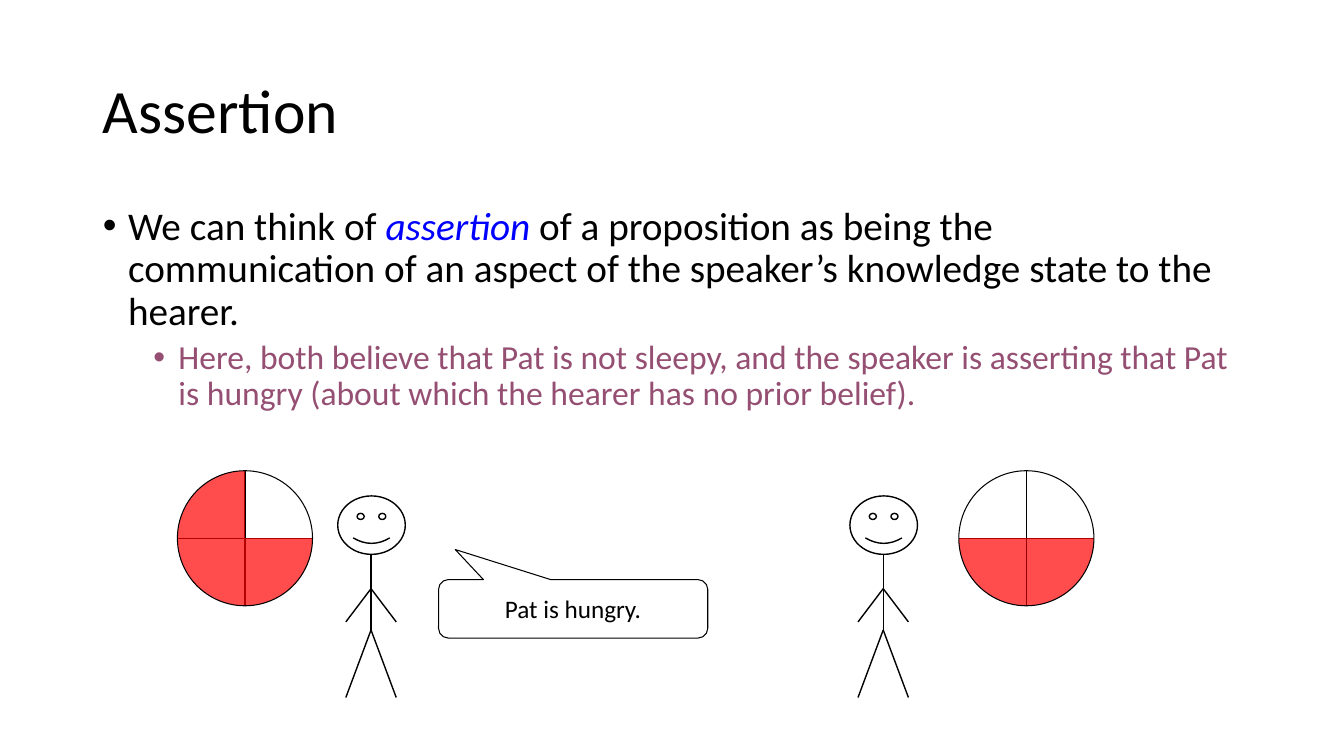
import lxml.etree
import pptx
import pptx.dml.color
import pptx.enum.shapes
import pptx.enum.text
import pptx.oxml.ns
import pptx.util
from pptx.util import Inches

COLOURS = {"ink": "000000", "term": "0000FF", "example": "954F72", "ruled_out": "FF0000"}
FONT = "Calibri"
SHAPE = pptx.enum.shapes.MSO_SHAPE
ANCHOR = pptx.enum.text.MSO_ANCHOR
ALIGN = pptx.enum.text.PP_ALIGN
QUARTER_TURNS = {"upper left": 0, "upper right": 90, "lower right": 180, "lower left": 270}


def colour(name):
    return pptx.dml.color.RGBColor.from_string(COLOURS[name])


def add_xml(parent, tag, **attributes):
    return lxml.etree.SubElement(parent, pptx.oxml.ns.qn(tag), **attributes)


def format_span(span, size, ink="ink", italic=False):
    span.font.name = FONT
    span.font.size = pptx.util.Pt(size)
    span.font.color.rgb = colour(ink)
    span.font.italic = italic


def place(shape, left, top, width, height):
    shape.left, shape.top = Inches(left), Inches(top)
    shape.width, shape.height = Inches(width), Inches(height)


def add_outline(shapes, kind, left, top, width, height, weight):
    """Add an unfilled preset shape with a black line."""
    shape = shapes.add_shape(kind, Inches(left), Inches(top), Inches(width), Inches(height))
    shape.shadow.inherit = False
    shape.fill.background()
    shape.line.color.rgb = colour("ink")
    shape.line.width = pptx.util.Pt(weight)
    return shape


def add_line(shapes, x1, y1, x2, y2, weight):
    line = shapes.add_connector(pptx.enum.shapes.MSO_CONNECTOR.STRAIGHT,
                                Inches(x1), Inches(y1), Inches(x2), Inches(y2))
    line.line.color.rgb = colour("ink")
    line.line.width = pptx.util.Pt(weight)
    add_xml(line._element.spPr, "a:effectLst")


def set_title(page, text):
    title = page.shapes.title
    place(title, 0.92, 0.4, 11.5, 1.45)
    frame = title.text_frame
    frame.text = text
    frame.vertical_anchor = ANCHOR.MIDDLE
    frame.auto_size = pptx.enum.text.MSO_AUTO_SIZE.NONE
    para = frame.paragraphs[0]
    para.alignment = ALIGN.LEFT
    para.line_spacing = 0.9
    format_span(para.runs[0], 44)


def format_bullet(para, level, space_before):
    para.level = level
    para.line_spacing = 0.9
    para.space_before = pptx.util.Pt(space_before)
    properties = para._p.get_or_add_pPr()
    properties.set("marL", str(Inches(0.25 + 0.5 * level)))
    properties.set("indent", str(Inches(-0.25)))
    add_xml(properties, "a:buFont", typeface="Arial")
    add_xml(properties, "a:buChar", char="•")


def set_body(page):
    body = page.placeholders[1]
    place(body, 0.92, 2, 11.5, 2.29)
    frame = body.text_frame
    frame.auto_size = pptx.enum.text.MSO_AUTO_SIZE.NONE
    claim = frame.paragraphs[0]
    format_bullet(claim, 0, 0)
    for text, ink in [
        ("We can think of ", "ink"),
        ("assertion", "term"),
        (" of a proposition as being the communication of an aspect of "
         "the speaker’s knowledge state to the hearer.", "ink"),
    ]:
        span = claim.add_run()
        span.text = text
        format_span(span, 28, ink, italic=ink == "term")
    example = frame.add_paragraph()
    example.text = ("Here, both believe that Pat is not sleepy, and the speaker is asserting "
                    "that Pat is hungry (about which the hearer has no prior belief).")
    format_bullet(example, 1, 5)
    format_span(example.runs[0], 24, "example")


def add_person(page, centre):
    shapes = page.shapes.add_group_shape().shapes
    add_outline(shapes, SHAPE.SMILEY_FACE, centre - 0.33, 4.92, 0.67, 0.58, 1)
    shoulder, hip = 5.84, 6.25
    add_line(shapes, centre, 5.5, centre, hip, 1)
    for side in (-0.25, 0.25):
        add_line(shapes, centre, hip, centre + side, 6.92, 1)
        add_line(shapes, centre, shoulder, centre + side, 6.17, 1)


def add_belief_state(page, centre, ruled_out):
    """Draw a circle of four possibilities, shading those ruled out."""
    middle, radius = 5.34, 0.67
    left, top = centre - radius, middle - radius
    shapes = page.shapes.add_group_shape().shapes
    add_line(shapes, centre, top, centre, middle + radius, 0.75)
    add_line(shapes, left, middle, centre + radius, middle, 0.75)
    for quarter in ruled_out:
        wedge = shapes.add_shape(
            SHAPE.PIE_WEDGE,
            Inches(centre if "right" in quarter else left),
            Inches(middle if "lower" in quarter else top),
            Inches(radius), Inches(radius))
        wedge.rotation = QUARTER_TURNS[quarter]
        wedge.shadow.inherit = False
        wedge.line.fill.background()
        wedge.fill.solid()
        wedge.fill.fore_color.rgb = colour("ruled_out")
        red = wedge._element.spPr.find(".//" + pptx.oxml.ns.qn("a:srgbClr"))
        add_xml(red, "a:alpha", val="70000")
    add_outline(shapes, SHAPE.OVAL, left, top, 2 * radius, 2 * radius, 0.75)


def add_speech(page, text):
    bubble = add_outline(page.shapes, SHAPE.ROUNDED_RECTANGULAR_CALLOUT,
                         4.35, 5.75, 2.67, 0.58, 0.75)
    for index, value in enumerate((-0.438, -1.015, 0.167)):
        bubble.adjustments[index] = value
    frame = bubble.text_frame
    frame.text = text
    frame.word_wrap = False
    frame.vertical_anchor = ANCHOR.MIDDLE
    frame.paragraphs[0].alignment = ALIGN.CENTER
    format_span(frame.paragraphs[0].runs[0], 18)


def main():
    deck = pptx.Presentation()
    deck.slide_width, deck.slide_height = Inches(13.33), Inches(7.5)
    page = deck.slides.add_slide(deck.slide_layouts[1])
    set_title(page, "Assertion")
    set_body(page)
    add_person(page, 3.68)
    add_person(page, 8.76)
    add_speech(page, "Pat is hungry.")
    add_belief_state(page, 2.43, ["upper left", "lower left", "lower right"])
    add_belief_state(page, 10.18, ["lower left", "lower right"])
    deck.save("out.pptx")


if __name__ == "__main__":
    main()
